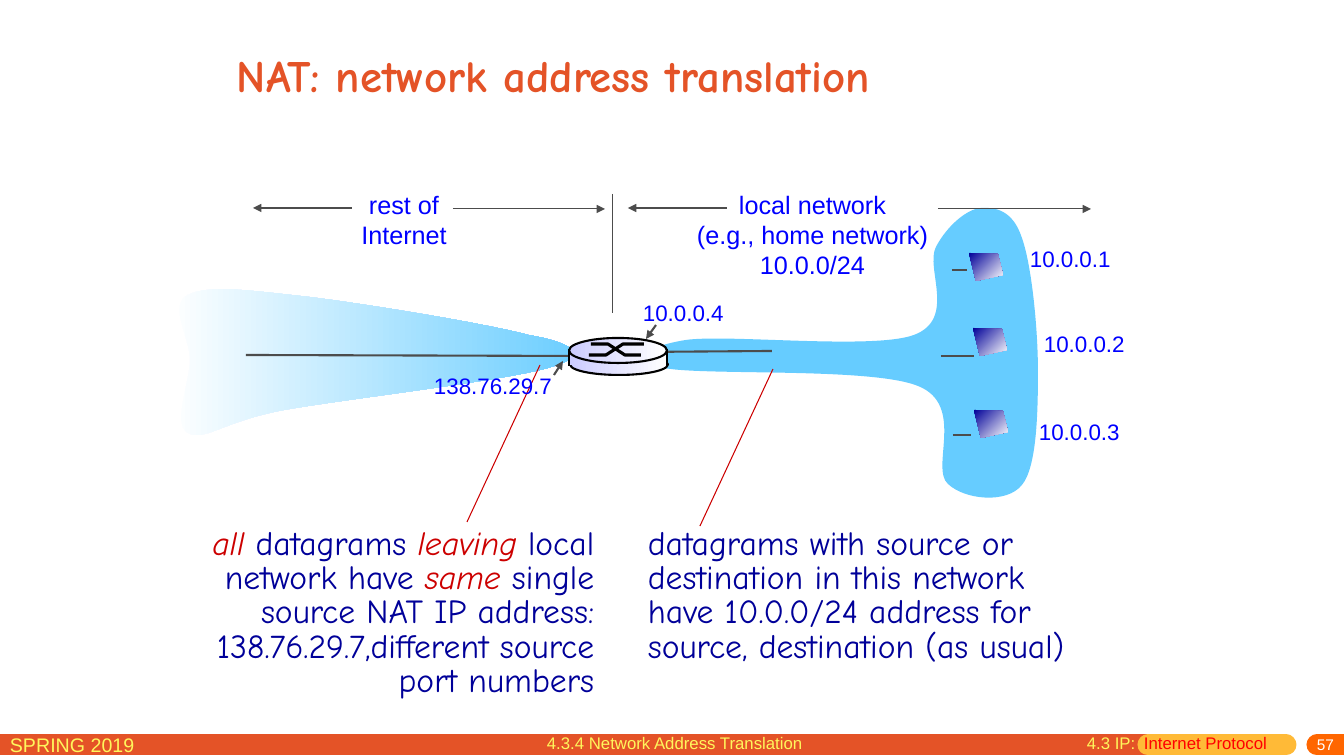
from typing import NamedTuple

from lxml import etree
from pptx import Presentation
from pptx.dml.color import RGBColor
from pptx.enum.shapes import MSO_CONNECTOR, MSO_SHAPE
from pptx.enum.text import MSO_ANCHOR, PP_ALIGN
from pptx.oxml.ns import qn
from pptx.util import Pt

STRAIGHT = MSO_CONNECTOR.STRAIGHT
ELLIPSE, RECTANGLE = MSO_SHAPE.OVAL, MSO_SHAPE.RECTANGLE
TOP, MIDDLE = MSO_ANCHOR.TOP, MSO_ANCHOR.MIDDLE
LEFT, CENTER, RIGHT = PP_ALIGN.LEFT, PP_ALIGN.CENTER, PP_ALIGN.RIGHT

ORANGE = RGBColor(0xE4, 0x53, 0x27)
AMBER = RGBColor(0xFF, 0xBA, 0x37)
BRIGHT_ORANGE = RGBColor(0xFF, 0x66, 0x00)
YELLOW = RGBColor(0xFF, 0xF6, 0x5C)
WHITE = RGBColor(0xFF, 0xFF, 0xFF)
BLACK = RGBColor(0x00, 0x00, 0x00)
GRAY = RGBColor(0x4C, 0x4C, 0x4C)
SKY = RGBColor(0x66, 0xCC, 0xFF)
LAVENDER = RGBColor(0xCC, 0xCC, 0xFF)
BLUE = RGBColor(0x00, 0x00, 0xFF)
NAVY = RGBColor(0x00, 0x00, 0x99)
CRIMSON = RGBColor(0xCC, 0x00, 0x00)
RED = RGBColor(0xFF, 0x00, 0x00)

SANS, COMIC = "Arial", "Comic Neue"
EMU_PER_PX = 914400 / 100.8


class Box(NamedTuple):
    left: int
    top: int
    width: int
    height: int

    def inner(self, x, y, width, height):
        return Box(self.left + x, self.top + y, width, height)

    def point(self, x, y):
        return self.left + x, self.top + y


def px(length):
    return round(length * EMU_PER_PX)


def add_text(shapes, box, paragraphs, size, color, font=SANS, align=LEFT,
             anchor=TOP, wrap=False, bold=False, spacing=None):
    """Each paragraph is a list of strings; a (string, color) pair is emphasised in italics."""
    frame = shapes.add_textbox(*map(px, box)).text_frame
    frame.word_wrap = wrap
    frame.vertical_anchor = anchor
    for index, parts in enumerate(paragraphs):
        paragraph = frame.add_paragraph() if index else frame.paragraphs[0]
        paragraph.alignment = align
        paragraph.line_spacing = spacing
        for part in parts:
            text, run_color = (part, color) if isinstance(part, str) else part
            run = paragraph.add_run()
            run.text = text
            run.font.name, run.font.size = font, Pt(size)
            run.font.bold, run.font.italic = bold, not isinstance(part, str)
            run.font.color.rgb = run_color
    return frame


def add_line(shapes, start, end, color, width, arrow=None, cap=None):
    """arrow is None, 'headEnd' (at the start) or 'tailEnd' (at the end)."""
    connector = shapes.add_connector(STRAIGHT, *map(px, start + end))
    connector.line.color.rgb = color
    connector.line.width = Pt(width)
    line = connector.line._get_or_add_ln()
    if cap:
        line.set("cap", cap)
    if arrow:
        etree.SubElement(line, qn("a:" + arrow), type="triangle")
    etree.SubElement(connector._element.spPr, qn("a:effectLst"))


def paint(shape, colors=(), angle=0, line=None, width=1.5):
    """Fill with no color, one color or a two-color gradient."""
    shape.shadow.inherit = False
    if len(colors) == 2:
        shape.fill.gradient()
        shape.fill.gradient_angle = angle
        for stop, color in zip(shape.fill.gradient_stops, colors):
            stop.color.rgb = color
    elif colors:
        shape.fill.solid()
        shape.fill.fore_color.rgb = colors[0]
    else:
        shape.fill.background()
    if line is None:
        shape.line.fill.background()
    else:
        shape.line.color.rgb = line
        shape.line.width = Pt(width)


def add_outline(shapes, box, points, close=True):
    corners = [tuple(map(px, box.point(x, y))) for x, y in points]
    builder = shapes.build_freeform(*corners[0], scale=1.0)
    builder.add_line_segments(corners[1:], close=close)
    return builder.convert_to_shape()


def add_cloud(shapes, box, points, colors):
    """Every three points after the first make one Bézier curve."""
    shape = add_outline(shapes, box, points)
    outline = next(shape._element.iter(qn("a:path")))
    segments = outline.findall(qn("a:lnTo"))
    for first in range(0, len(points) - 1, 3):
        curve = etree.Element(qn("a:cubicBezTo"))
        segments[first].addprevious(curve)
        for segment in segments[first:first + 3]:
            curve.append(segment[0])
            outline.remove(segment)
    paint(shape, colors)


def draw_footer(shapes, box):
    for start, end, color in ((0, 1148, ORANGE), (1148, 1286, AMBER), (1317, 1344, BRIGHT_ORANGE)):
        add_line(shapes, box.point(start, 17), box.point(end, 17), color, 15, cap="rnd")
    for x, width, text, size, color in (
            (0, 231, "SPRING 2019", 14, YELLOW),
            (537, 324, "4.3.4 Network Address Translation", 12, YELLOW),
            (1077, 70, "4.3 IP:", 12, YELLOW),
            (1134, 164, "Internet Protocol", 12, RED)):
        add_text(shapes, box.inner(x, 0, width, 28), [[text]], size, color)
    number = add_text(shapes, box.inner(1084, 10, 260, 18), [["57"]], 11, WHITE,
                      align=RIGHT, anchor=MIDDLE, wrap=True)
    number.margin_top, number.margin_bottom = 0, px(5)


def draw_clouds(shapes, box):
    local = [(60, 133), (103, 127), (247, 143), (288, 128), (331, 112), (299, 61), (310, 40),
             (321, 19), (341, 2), (355, 1), (369, 0), (387, 3), (396, 31), (406, 59),
             (412, 123), (412, 164), (412, 205), (411, 260), (396, 278), (381, 297),
             (339, 293), (322, 277), (304, 261), (340, 198), (292, 179), (245, 160),
             (77, 169), (38, 161), (0, 153), (22, 139), (60, 133)]
    internet = [(360, 51), (320, 40), (198, 20), (141, 13), (85, 7), (41, 0), (20, 11),
                (0, 21), (22, 53), (22, 76), (22, 99), (4, 140), (20, 149), (36, 158),
                (56, 137), (116, 126), (177, 115), (343, 96), (383, 83), (425, 71),
                (402, 58), (360, 51)]
    add_cloud(shapes, box.inner(458, 0, 412, 297), local, [SKY])
    add_cloud(shapes, box.inner(0, 77, 425, 158), internet, [WHITE, SKY])
    # Wires on both sides of the router
    add_line(shapes, box.point(470, 145), box.point(604, 144), GRAY, 1.5)
    add_line(shapes, box.point(78, 148), box.point(412, 149), GRAY, 1.5)


def draw_spans(shapes, box):
    add_line(shapes, box.point(360, 10), box.point(360, 129), GRAY, 0.75)
    for start, end, y in ((99, 0, 24), (200, 352, 25), (474, 375, 24), (685, 838, 25)):
        add_line(shapes, box.point(start, y), box.point(end, y), GRAY, 0.75, "tailEnd")
    add_text(shapes, box.inner(98, 0, 106, 71), [["rest of"], ["Internet"]],
             18, BLUE, align=CENTER)
    add_text(shapes, box.inner(434, 0, 251, 101),
             [["local network"], ["(e.g., home network)"], ["10.0.0/24"]],
             18, BLUE, align=CENTER)


def draw_router(shapes, box):
    add_text(shapes, box.inner(199, 0, 102, 37), [["10.0.0.4"]], 16, BLUE)
    add_text(shapes, box.inner(-10, 73, 139, 37), [["138.76.29.7"]], 16, BLUE)
    add_line(shapes, box.point(222, 31), box.point(212, 45), GRAY, 1.5, "tailEnd")
    add_line(shapes, box.point(129, 67), box.point(120, 81), GRAY, 1.5, "headEnd")
    # Cylinder
    parts = shapes.add_group_shape().shapes
    for kind, x, y, height, line in ((ELLIPSE, 136, 60, 21, BLACK), (RECTANGLE, 136, 58, 13, None),
                                     (ELLIPSE, 135, 44, 25, BLACK)):
        body = parts.add_shape(kind, *map(px, box.inner(x, y, 98, height)))
        paint(body, [LAVENDER, WHITE], line=line)
    # Crossed paths on the top face
    for points in ([(155, 61), (172, 61), (189, 50), (210, 50)],
                   [(157, 50), (174, 50), (191, 61), (207, 61)]):
        paint(add_outline(parts, box, points, close=False), line=BLACK, width=2.25)
    for x in (135, 233):
        add_line(parts, box.point(x, 55), box.point(x, 72), BLACK, 1.5)


def draw_hosts(shapes, box):
    hosts = (("10.0.0.1", (79, 0), (28, 13), (11, 26, 30)),
             ("10.0.0.2", (93, 85), (32, 88), (0, 33, 116)),
             ("10.0.0.3", (88, 173), (33, 170), (12, 30, 195)))
    for address, label, screen, (start, end, y) in hosts:
        add_line(shapes, box.point(start, y), box.point(end, y), GRAY, 1.5)
        add_text(shapes, box.inner(*label, 102, 37), [[address]], 16, BLUE)
        monitor = add_outline(shapes, box.inner(*screen, 34, 28),
                              [(0, 0), (29, 1), (34, 22), (7, 28)])
        paint(monitor, [NAVY, WHITE], angle=315)


def draw_captions(shapes, box):
    leaving = [[("all ", CRIMSON), "datagrams ", ("leaving ", CRIMSON), "local"],
               ["network have ", ("same ", CRIMSON),
                "single source NAT IP address: 138.76.29.7,different source port numbers"]]
    inside = [["datagrams with source or"], ["destination in this network"],
              ["have 10.0.0/24 address for"], ["source, destination (as usual)"]]
    add_text(shapes, box.inner(0, 158, 436, 183), leaving, 24, NAVY, COMIC,
             align=RIGHT, wrap=True, spacing=0.85)
    add_text(shapes, box.inner(470, 158, 478, 148), inside, 24, NAVY, COMIC, spacing=0.85)
    for x, y in ((299, 157), (532, 161)):
        add_line(shapes, box.point(x, y), box.point(x + 73, y - 157), CRIMSON, 0.75)


def main():
    presentation = Presentation()
    presentation.slide_width, presentation.slide_height = px(1344), px(756)
    slide = presentation.slides.add_slide(presentation.slide_layouts[6])
    shapes = slide.shapes
    draw_footer(shapes, Box(0, 728, 1344, 28))
    add_text(shapes, Box(227, 25, 892, 100), [["NAT: network address translation"]],
             32, ORANGE, COMIC, anchor=MIDDLE, wrap=True, bold=True)
    draw_clouds(shapes, Box(168, 207, 870, 297))
    draw_spans(shapes, Box(253, 184, 838, 129))
    draw_hosts(shapes, Box(941, 240, 195, 210))
    draw_captions(shapes, Box(168, 365, 948, 341))
    draw_router(shapes, Box(434, 294, 301, 110))
    presentation.save("out.pptx")


if __name__ == "__main__":
    main()
